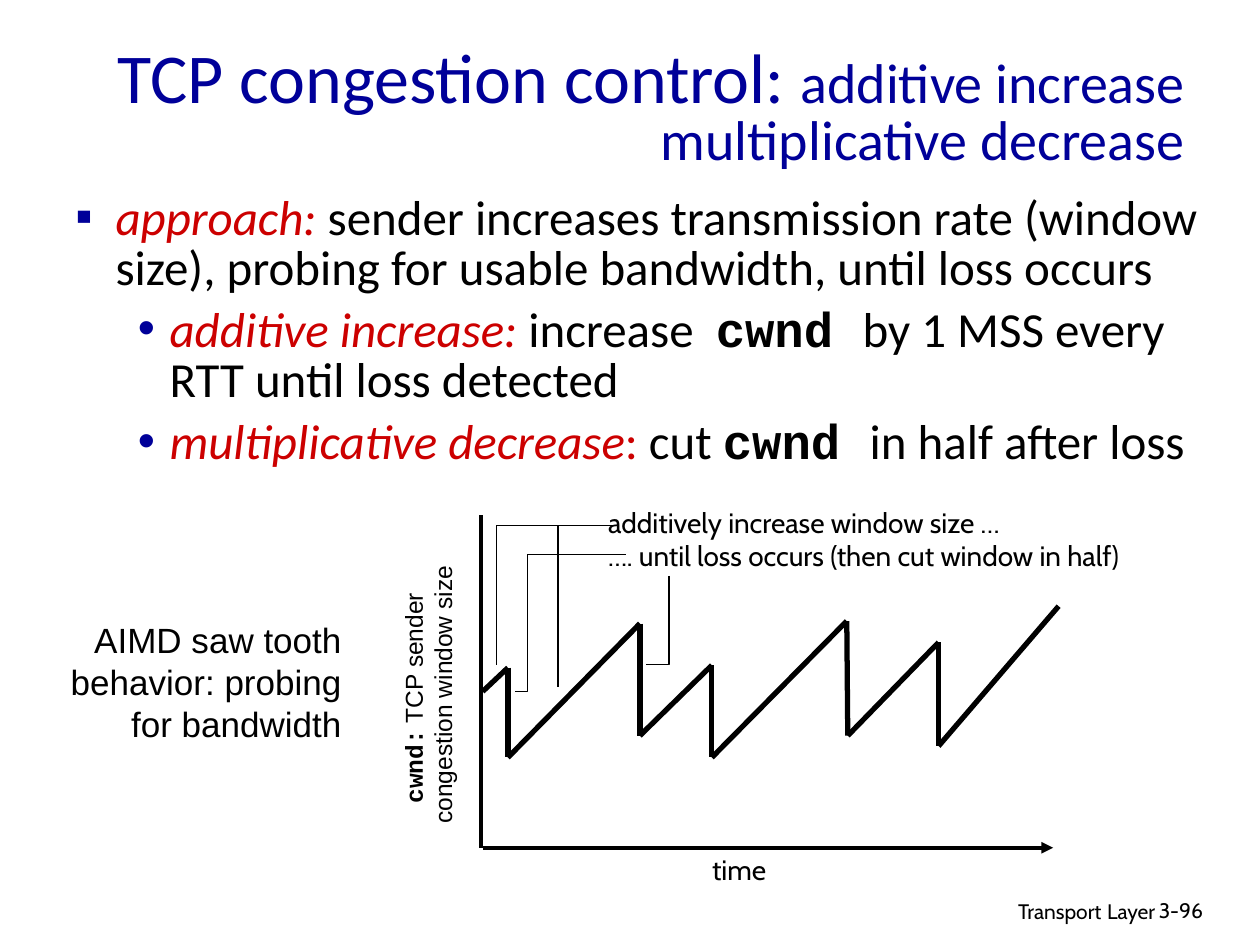
from collections import namedtuple
from dataclasses import dataclass
from itertools import pairwise

from lxml.etree import SubElement
from pptx import Presentation
from pptx.dml.color import RGBColor
from pptx.enum.shapes import MSO_CONNECTOR as Connector
from pptx.enum.text import MSO_ANCHOR as Anchor, MSO_AUTO_SIZE as AutoSize, PP_ALIGN as Align
from pptx.oxml.ns import qn
from pptx.util import Cm, Pt


@dataclass(frozen=True)
class Theme:
    """Colours, fonts and type sizes of the slide."""
    blue: str = "000099"
    red: str = "CC0000"
    black: str = "000000"
    white: str = "FFFFFF"
    text: str = "Calibri"
    label: str = "Cabin"
    plain: str = "Arial"
    code: str = "Courier New"
    title_size: int = 40
    subtitle_size: int = 32
    body_size: int = 28
    caption_size: int = 20
    note_size: int = 16
    axis_size: int = 14
    footer_size: int = 12


THEME = Theme()


class Box(namedtuple("Box", "left top width height")):
    """A rectangle in centimetres."""

    def inner(self, left, top, width, height):
        """Return a box placed relative to this one."""
        return Box(self.left + left, self.top + top, width, height)

    def point(self, x, y):
        """Return the slide position of a relative point."""
        return Cm(self.left + x), Cm(self.top + y)


def add_frame(page, box, wrap=True, anchor=Anchor.TOP):
    """Add an empty text box and return its shape."""
    shape = page.shapes.add_textbox(*map(Cm, box))
    frame = shape.text_frame
    frame.word_wrap = wrap
    frame.auto_size = AutoSize.NONE if wrap else AutoSize.SHAPE_TO_FIT_TEXT
    frame.vertical_anchor = anchor
    return shape


def add_span(para, text, font=THEME.text, size=THEME.body_size, color=THEME.black,
             bold=False, italic=False):
    """Add a formatted run of text to a paragraph."""
    span = para.add_run()
    span.text = text
    span.font.name = font
    span.font.size = Pt(size)
    span.font.bold = bold
    span.font.italic = italic
    span.font.color.rgb = RGBColor.from_string(color)


def add_para(frame, index, align=Align.LEFT):
    """Return the paragraph at an index, adding it after the first."""
    para = frame.add_paragraph() if index else frame.paragraphs[0]
    para.alignment = align
    return para


def add_lines(page, box, lines, align=Align.LEFT, wrap=True, **style):
    """Add a text box whose lines share one format."""
    frame = add_frame(page, box, wrap).text_frame
    for index, line in enumerate(lines):
        add_span(add_para(frame, index, align), line, **style)


def set_bullet(para, char, margin, hanging):
    """Give a paragraph a blue bullet and a hanging indent."""
    props = para._p.get_or_add_pPr()
    props.set("marL", str(Cm(margin)))
    props.set("indent", str(-Cm(hanging)))
    SubElement(SubElement(props, qn("a:buClr")), qn("a:srgbClr"), val=THEME.blue)
    SubElement(props, qn("a:buFont"), typeface=THEME.plain)
    SubElement(props, qn("a:buChar"), char=char)


def add_line(page, start, end, width, arrow=False):
    """Draw a straight black line between two slide positions."""
    line = page.shapes.add_connector(Connector.STRAIGHT, *start, *end)
    line.line.color.rgb = RGBColor.from_string(THEME.black)
    line.line.width = Pt(width)
    if arrow:
        SubElement(line.line._get_or_add_ln(), qn("a:tailEnd"), type="triangle")
    SubElement(line._element.spPr, qn("a:effectLst"))


def add_leader(page, points):
    """Draw a thin open outline through slide positions."""
    builder = page.shapes.build_freeform(*points[0], scale=1.0)
    builder.add_line_segments(points[1:], close=False)
    shape = builder.convert_to_shape()
    shape.shadow.inherit = False
    shape.fill.background()
    shape.line.color.rgb = RGBColor.from_string(THEME.black)
    shape.line.width = Pt(0.75)


def add_title(page, box):
    """Add the two-size title, aligned right."""
    frame = add_frame(page, box, anchor=Anchor.MIDDLE).text_frame
    para = add_para(frame, 0, Align.RIGHT)
    para.line_spacing = 0.8
    add_span(para, "TCP congestion control: ", size=THEME.title_size, color=THEME.blue)
    add_span(para, "additive increase multiplicative decrease",
             size=THEME.subtitle_size, color=THEME.blue)


def add_body(page, box):
    """Add the bulleted explanation."""
    term = dict(color=THEME.red, italic=True)
    code = dict(font=THEME.code, bold=True)
    top, sub = ("▪", 0.81, 0.81), ("•", 1.9, 0.64)
    items = [
        (top, [("approach: ", term),
               ("sender increases transmission rate (window size), probing for "
                "usable bandwidth, until loss occurs", {})]),
        (sub, [("additive increase:", term), (" increase  ", {}), ("cwnd ", code),
               ("by 1 MSS every RTT until loss detected", {})]),
        (sub, [("multiplicative decrease", term), (":", dict(color=THEME.red)),
               (" cut ", {}), ("cwnd ", code), ("in half after loss", {})]),
    ]
    frame = add_frame(page, box).text_frame
    for index, (bullet, spans) in enumerate(items):
        para = add_para(frame, index)
        set_bullet(para, *bullet)
        para.line_spacing = 0.85
        if index:
            para.space_before = Pt(7)
        for text, style in spans:
            add_span(para, text, **style)


def add_axis_label(page, box):
    """Add the rotated label of the vertical axis."""
    shape = add_frame(page, box, wrap=False)
    shape.rotation = 270
    shape.fill.solid()
    shape.fill.fore_color.rgb = RGBColor.from_string(THEME.white)
    para = add_para(shape.text_frame, 0, Align.CENTER)
    plain = dict(font=THEME.plain, size=THEME.axis_size)
    add_span(para, "cwnd:", font=THEME.code, size=THEME.axis_size, bold=True)
    add_span(para, " TCP sender ", **plain)
    add_span(add_para(shape.text_frame, 1, Align.CENTER), "congestion window size", **plain)


def add_diagram(page, box):
    """Draw the saw tooth with its axes, labels and leader lines."""
    teeth = [(0.03, 3.55), (0.54, 3.07), (0.54, 4.88), (3.2, 2.18), (3.2, 4.44),
             (4.65, 3.02), (4.65, 4.88), (7.37, 2.13), (7.39, 4.44),
             (9.22, 2.56), (9.22, 4.65), (11.64, 1.83)]
    leaders = [[(2.7, 0.2), (0.31, 0.2), (0.31, 3.02)],
               [(2.92, 0.79), (0.94, 0.79), (0.94, 3.55), (0.69, 3.55)],
               [(2.7, 0.2), (1.55, 0.2), (1.55, 3.45)],
               [(3.79, 1.22), (3.79, 3), (3.33, 3)]]
    note = dict(font=THEME.label, size=THEME.note_size)
    add_axis_label(page, box.inner(-3.93, 2.89, 5.72, 1.45))
    add_line(page, box.point(0.03, box.height), box.point(11.53, box.height), 2.25, arrow=True)
    add_line(page, box.point(0, 0), box.point(0, box.height), 2.25)
    for start, end in pairwise(teeth):
        add_line(page, box.point(*start), box.point(*end), 3)
    add_lines(page, box.inner(2.31, -0.33, 12.14, 1.63),
              ["additively increase window size …",
               "…. until loss occurs (then cut window in half)"], **note)
    for leader in leaders:
        add_leader(page, [box.point(*point) for point in leader])
    add_lines(page, box.inner(4.35, 6.68, 1.7, 0.94), ["time"], Align.CENTER, **note)


def add_footer(page, box):
    """Add the chapter name and the page number."""
    style = dict(font=THEME.label, size=THEME.footer_size)
    para = add_para(add_frame(page, box.inner(0, 0, 8.05, 0.79)).text_frame, 0, Align.RIGHT)
    add_span(para, "Transport", **style)
    add_span(para, " ", font=THEME.label, size=THEME.axis_size)
    add_span(para, "Layer", **style)
    add_lines(page, box.inner(7.62, 0.05, 1.88, 0.76), ["3-96"], **style)


def main():
    """Build and save the slide."""
    deck = Presentation()
    deck.slide_width, deck.slide_height = Cm(25.4), Cm(19.05)
    page = deck.slides.add_slide(deck.slide_layouts[6])
    add_footer(page, Box(15.49, 17.91, 9.5, 0.81))
    add_title(page, Box(0.64, 0.64, 23.5, 3.18))
    add_body(page, Box(1.27, 3.81, 23.27, 4.01))
    add_lines(page, Box(1.17, 12.34, 5.97, 2.79),
              ["AIMD saw tooth", "behavior: probing", "for bandwidth"],
              Align.RIGHT, wrap=False, font=THEME.plain, size=THEME.caption_size)
    add_diagram(page, Box(9.7, 10.39, 11.64, 6.7))
    deck.save("out.pptx")


if __name__ == "__main__":
    main()
